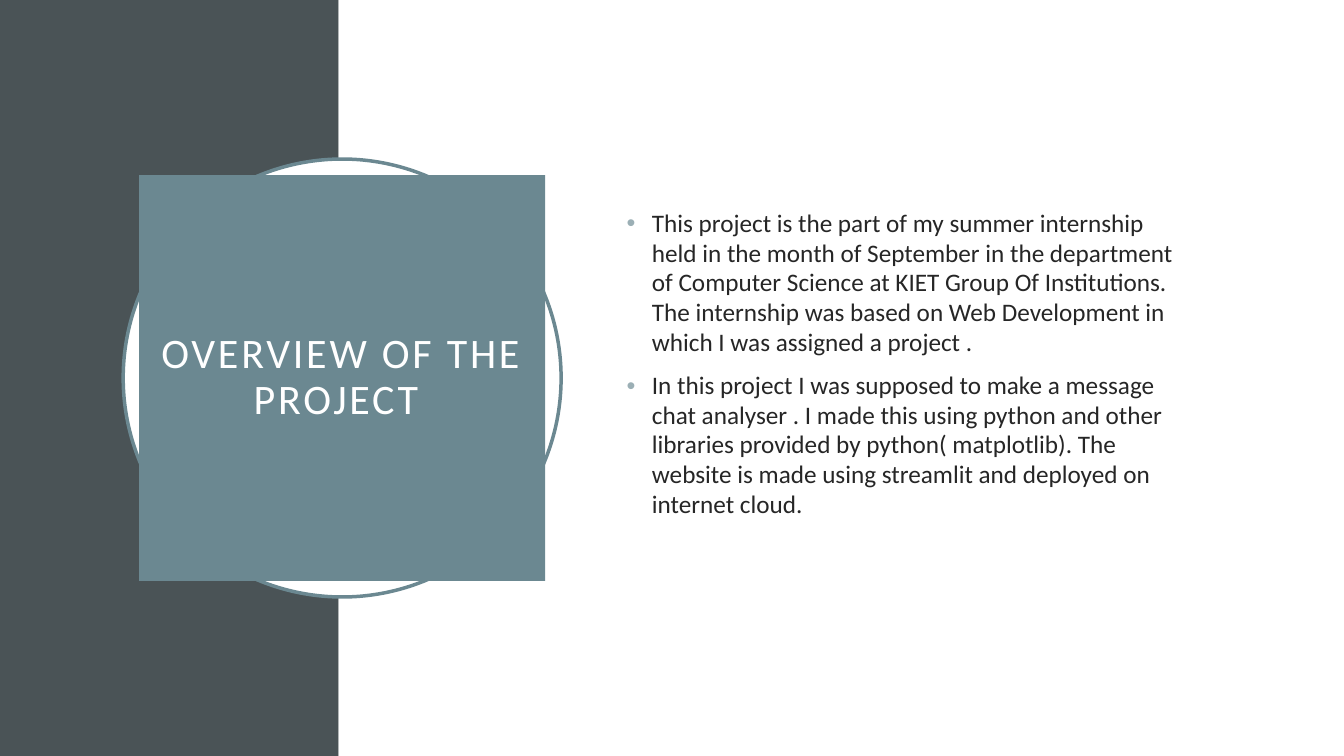
import pptx
import pptx.util
import pptx.dml.color
import pptx.enum.shapes
import pptx.enum.text
import pptx.oxml.ns
from lxml import etree
from dataclasses import dataclass

Pt = pptx.util.Pt
RGBColor = pptx.dml.color.RGBColor
MSO_SHAPE = pptx.enum.shapes.MSO_SHAPE
MSO_ANCHOR = pptx.enum.text.MSO_ANCHOR
PP_ALIGN = pptx.enum.text.PP_ALIGN


@dataclass(frozen=True)
class Theme:
    white: str = "FFFFFF"
    slate: str = "4A5356"
    teal: str = "6B8891"
    bullet: str = "9BAFB5"
    text: str = "262626"
    font: str = "Calibri"
    title_size: int = 30
    body_size: int = 18


theme = Theme()
SLIDE_WIDTH, SLIDE_HEIGHT = 960, 540
SIDEBAR_WIDTH = 241.9


def add_filled_shape(kind, left, top, width, height, color):
    shape = slide.shapes.add_shape(kind, Pt(left), Pt(top), Pt(width), Pt(height))
    shape.shadow.inherit = False
    shape.fill.solid()
    shape.fill.fore_color.rgb = RGBColor.from_string(color)
    shape.line.fill.background()
    return shape


def style_run(run, size, color):
    run.font.name = theme.font
    run.font.size = Pt(size)
    run.font.color.rgb = RGBColor.from_string(color)


presentation = pptx.Presentation()
presentation.slide_width = Pt(SLIDE_WIDTH)
presentation.slide_height = Pt(SLIDE_HEIGHT)
slide = presentation.slides.add_slide(presentation.slide_layouts[6])

# Background panels
add_filled_shape(MSO_SHAPE.RECTANGLE, 0, 0, SIDEBAR_WIDTH, SLIDE_HEIGHT, theme.slate)
add_filled_shape(MSO_SHAPE.RECTANGLE, SIDEBAR_WIDTH, 0,
                 SLIDE_WIDTH - SIDEBAR_WIDTH, SLIDE_HEIGHT, theme.white)

# Title square over a ring
ring = add_filled_shape(MSO_SHAPE.OVAL, 88, 113.6, 312.8, 312.8, theme.white)
ring.line.color.rgb = RGBColor.from_string(theme.teal)
ring.line.width = Pt(2.5)

title = add_filled_shape(MSO_SHAPE.RECTANGLE, 99.4, 125, 290, 290, theme.teal)
title_frame = title.text_frame
title_frame.word_wrap = True
title_frame.vertical_anchor = MSO_ANCHOR.MIDDLE
title_frame.margin_left = title_frame.margin_right = Pt(14.4)
title_frame.margin_top = title_frame.margin_bottom = Pt(14.4)
title_frame.text = "OVERVIEW OF THE PROJECT "
title_paragraph = title_frame.paragraphs[0]
title_paragraph.alignment = PP_ALIGN.CENTER
title_paragraph.line_spacing = 0.9
title_run = title_paragraph.runs[0]
style_run(title_run, theme.title_size, theme.white)
title_run.font._element.set("spc", "200")

# Project description
descriptions = [
    "This project is the part of my summer internship held in the month of "
    "September in the department of Computer Science at KIET Group Of "
    "Institutions. The internship was based on Web Development in which I was "
    "assigned a project .",
    "In this project I was supposed to make a message chat analyser . I made "
    "this using python and other libraries provided by python( matplotlib). The "
    "website is made using streamlit and deployed on internet cloud.",
]
body = slide.shapes.add_textbox(Pt(440.6), Pt(100.5), Pt(419), Pt(319))
body_frame = body.text_frame
body_frame.word_wrap = True
body_frame.vertical_anchor = MSO_ANCHOR.MIDDLE
body_frame.text = "\n".join(descriptions)
for index, paragraph in enumerate(body_frame.paragraphs):
    paragraph.line_spacing = 0.98
    paragraph.space_before = Pt(10 if index else 0)
    properties = paragraph._p.get_or_add_pPr()
    properties.set("marL", str(Pt(18)))
    properties.set("indent", str(-Pt(18)))
    bullet_color = etree.SubElement(properties, pptx.oxml.ns.qn("a:buClr"))
    etree.SubElement(bullet_color, pptx.oxml.ns.qn("a:srgbClr"), val=theme.bullet)
    etree.SubElement(properties, pptx.oxml.ns.qn("a:buFont"), typeface="Arial")
    etree.SubElement(properties, pptx.oxml.ns.qn("a:buChar"), char="•")
    style_run(paragraph.runs[0], theme.body_size, theme.text)

presentation.save("out.pptx")
